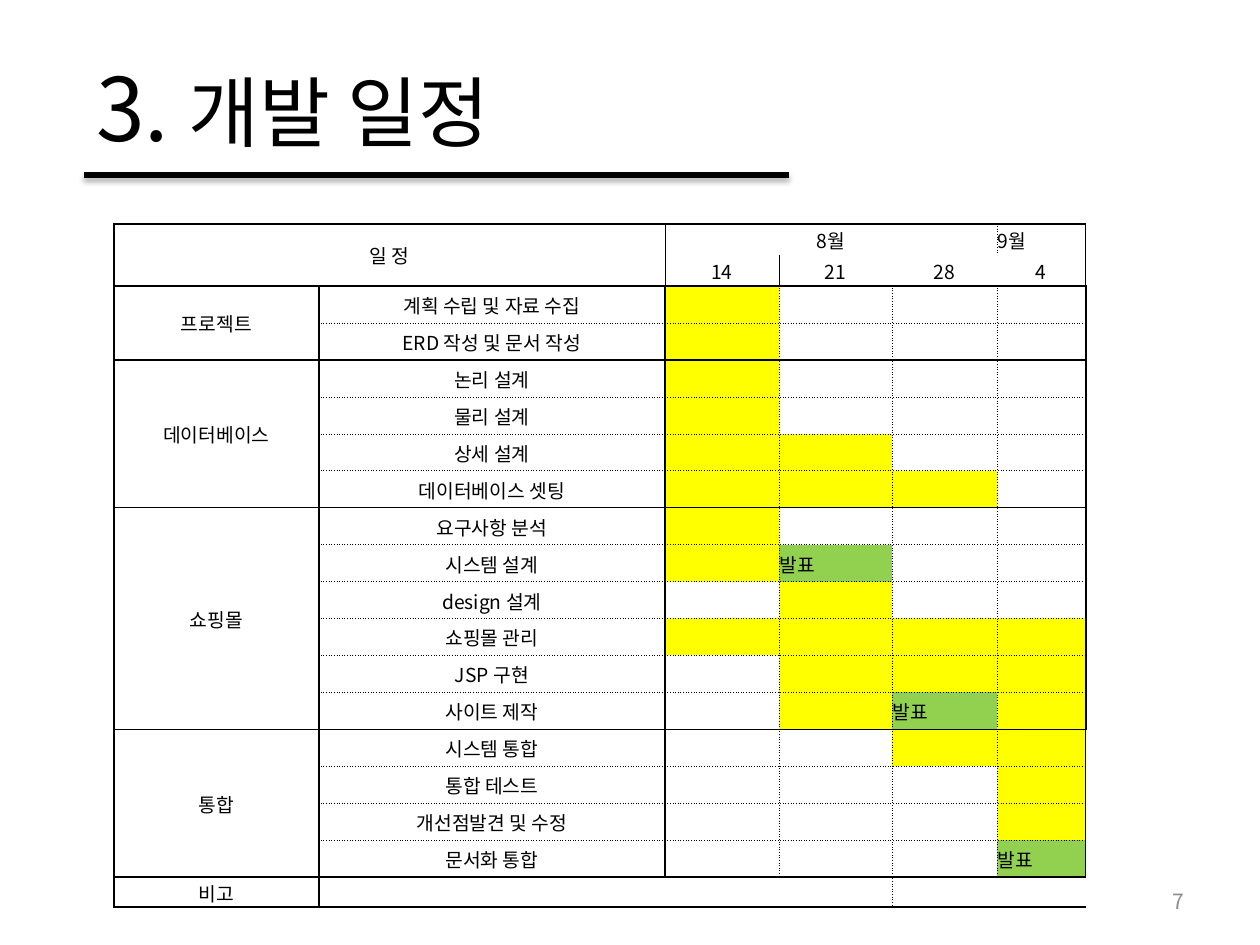
import pptx
import pptx.util
from lxml import etree
from pptx.dml.color import RGBColor
from pptx.enum.shapes import MSO_CONNECTOR
from pptx.enum.text import MSO_ANCHOR, PP_ALIGN
from pptx.oxml.ns import qn

PX = 914400 // 126
FONT = "Noto Sans CJK KR"
BLACK = RGBColor(0x00, 0x00, 0x00)
GRAY = RGBColor(0x8C, 0x8C, 0x8C)
YELLOW = RGBColor(0xFF, 0xFF, 0x00)
GREEN = RGBColor(0x92, 0xD0, 0x50)

SOLID, OUTER, HAIR, DOT = (1, "solid"), (0.75, "solid"), (0.25, "solid"), (0.25, "sysDot")
COLUMN_WIDTHS = [205, 346, 114, 113, 105, 89]
ROW_HEIGHTS = [31, 31] + [37] * 16 + [30]
HEADER = {(0, 0): "일 정", (0, 2): "8월", (0, 5): "9월",
          (1, 2): "14", (1, 3): "21", (1, 4): "28", (1, 5): "4"}
PRESENTATION = "발표"
LEFT_ALIGNED = ("9월", PRESENTATION)
# Y = 작업, P = 발표
SCHEDULE = [
    ("프로젝트", [("계획 수립 및 자료 수집", "Y---"), ("ERD 작성 및 문서 작성", "Y---")]),
    ("데이터베이스", [("논리 설계", "Y---"), ("물리 설계", "Y---"),
                ("상세 설계", "YY--"), ("데이터베이스 셋팅", "YYY-")]),
    ("쇼핑몰", [("요구사항 분석", "Y---"), ("시스템 설계", "YP--"), ("design 설계", "-Y--"),
             ("쇼핑몰 관리", "YYYY"), ("JSP 구현", "-YYY"), ("사이트 제작", "-YPY")]),
    ("통합", [("시스템 통합", "--YY"), ("통합 테스트", "---Y"),
            ("개선점발견 및 수정", "---Y"), ("문서화 통합", "---P")]),
]
GROUP_EDGES = (2, 4, 8, 14, 18, 19)
INTEGRATION_ROW, NOTE_ROW = 14, 18


def px(length):
    return pptx.util.Emu(length * PX)


def style_run(run, size, color):
    run.font.size = pptx.util.Pt(size)
    run.font.name = FONT
    run.font.color.rgb = color
    etree.SubElement(run.font._element, qn("a:ea"), typeface=FONT)


def add_text(slide, box, pieces, color, align):
    frame = slide.shapes.add_textbox(*map(px, box)).text_frame
    frame.word_wrap = True
    frame.vertical_anchor = MSO_ANCHOR.MIDDLE
    paragraph = frame.paragraphs[0]
    paragraph.alignment = align
    for text, size in pieces:
        run = paragraph.add_run()
        run.text = text
        style_run(run, size, color)


def add_title_rule(slide):
    rule = slide.shapes.add_connector(MSO_CONNECTOR.STRAIGHT, px(84), px(175), px(789), px(175))
    rule.line.color.rgb = BLACK
    rule.line.width = pptx.util.Pt(3)
    effects = etree.SubElement(rule._element.spPr, qn("a:effectLst"))
    shadow = etree.SubElement(effects, qn("a:outerShdw"), blurRad="39400", dist="23000",
                              dir="5400000", rotWithShape="0")
    shade = etree.SubElement(shadow, qn("a:srgbClr"), val=str(BLACK))
    etree.SubElement(shade, qn("a:alpha"), val="35000")


def vertical_edge(row, column):
    if row < 2:
        header_edges = {0: OUTER, 2: HAIR, 6: OUTER}
        header_edges.update({5: DOT} if row == 0 else {3: HAIR})
        return header_edges.get(column)
    if column in (0, 6):
        return OUTER if INTEGRATION_ROW <= row < NOTE_ROW else SOLID
    if row == NOTE_ROW:
        return {1: SOLID, 4: DOT}.get(column)
    return SOLID if column < 3 else DOT


def horizontal_edge(row, column):
    if row == 0:
        return OUTER
    if row in GROUP_EDGES:
        return SOLID
    return None if row == 1 or column == 0 else DOT


def set_borders(cell, row, column):
    edges = {"a:lnL": vertical_edge(row, column), "a:lnR": vertical_edge(row, column + 1),
             "a:lnT": horizontal_edge(row, column), "a:lnB": horizontal_edge(row + 1, column)}
    properties = cell._tc.get_or_add_tcPr()
    for tag, edge in edges.items():
        if edge is None:
            line = etree.SubElement(properties, qn(tag), w="0")
            etree.SubElement(line, qn("a:noFill"))
            continue
        width, dash = edge
        line = etree.SubElement(properties, qn(tag), w=str(int(pptx.util.Pt(width))))
        fill = etree.SubElement(line, qn("a:solidFill"))
        etree.SubElement(fill, qn("a:srgbClr"), val=str(BLACK))
        etree.SubElement(line, qn("a:prstDash"), val=dash)


def fill_cell(cell, text, color):
    cell.margin_left = cell.margin_right = cell.margin_top = px(1)
    cell.margin_bottom = 0
    cell.vertical_anchor = MSO_ANCHOR.MIDDLE
    if color is None:
        cell.fill.background()
    else:
        cell.fill.solid()
        cell.fill.fore_color.rgb = color
    paragraph = cell.text_frame.paragraphs[0]
    paragraph.text = text
    paragraph.alignment = PP_ALIGN.LEFT if text in LEFT_ALIGNED else PP_ALIGN.CENTER
    for run in paragraph.runs:
        style_run(run, 11, BLACK)
    if not text:
        etree.SubElement(paragraph._p, qn("a:endParaRPr"), sz="1100")


def schedule_contents():
    texts, colors = dict(HEADER), {}
    merges = [(0, 0, 1, 1), (0, 2, 0, 4), (NOTE_ROW, 1, NOTE_ROW, 3), (NOTE_ROW, 4, NOTE_ROW, 5)]
    row = 2
    for group, tasks in SCHEDULE:
        texts[row, 0] = group
        merges.append((row, 0, row + len(tasks) - 1, 0))
        for task, weeks in tasks:
            texts[row, 1] = task
            for column, mark in enumerate(weeks, 2):
                colors[row, column] = {"Y": YELLOW, "P": GREEN}.get(mark)
                if mark == "P":
                    texts[row, column] = PRESENTATION
            row += 1
    texts[NOTE_ROW, 0] = "비고"
    return texts, colors, merges


def add_schedule(slide):
    schedule = slide.shapes.add_table(
        len(ROW_HEIGHTS), len(COLUMN_WIDTHS), px(114), px(224),
        px(sum(COLUMN_WIDTHS)), px(sum(ROW_HEIGHTS))).table
    schedule.first_row = schedule.horz_banding = False
    for column, width in zip(schedule.columns, COLUMN_WIDTHS):
        column.width = px(width)
    for row, height in zip(schedule.rows, ROW_HEIGHTS):
        row.height = px(height)
    texts, colors, merges = schedule_contents()
    for row in range(len(ROW_HEIGHTS)):
        for column in range(len(COLUMN_WIDTHS)):
            cell = schedule.cell(row, column)
            set_borders(cell, row, column)
            fill_cell(cell, texts.get((row, column), ""), colors.get((row, column)))
    for top, left, bottom, right in merges:
        schedule.cell(top, left).merge(schedule.cell(bottom, right))


def main():
    deck = pptx.Presentation()
    deck.slide_width, deck.slide_height = px(1260), px(945)
    slide = deck.slides.add_slide(deck.slide_layouts[6])
    add_title_rule(slide)
    add_text(slide, (84, 38, 815, 137), [("3. ", 50), ("개발 일정", 44)], BLACK, PP_ALIGN.LEFT)
    add_schedule(slide)
    add_text(slide, (903, 876, 294, 50), [("7", 12)], GRAY, PP_ALIGN.RIGHT)
    deck.save("out.pptx")


if __name__ == "__main__":
    main()
